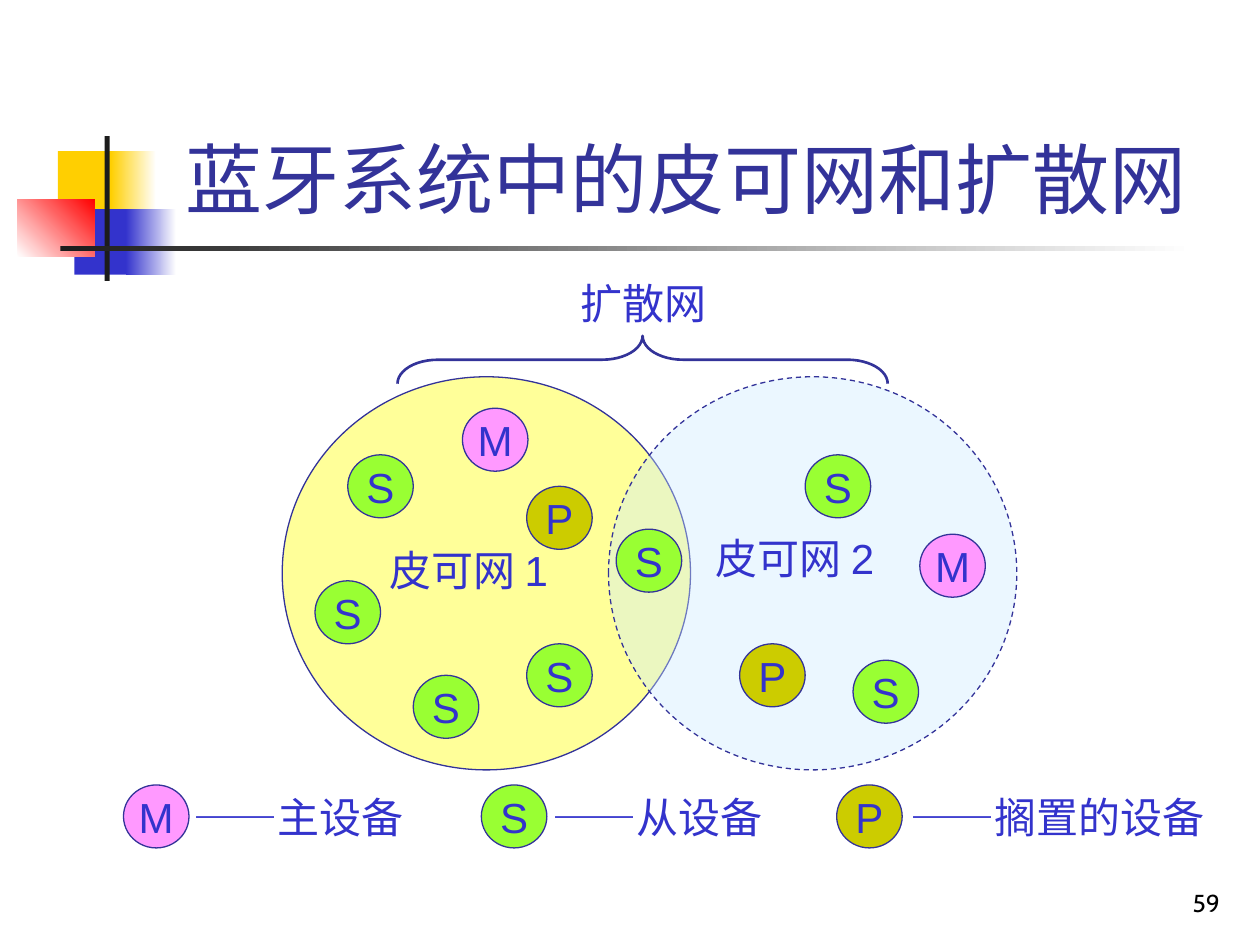
from lxml import etree
from pptx import Presentation
from pptx.dml.color import RGBColor
from pptx.enum import dml, shapes, text
from pptx.oxml.ns import qn
from pptx.util import Inches, Pt

NAVY = RGBColor(0x33, 0x33, 0x99)
BLUE = RGBColor(0x33, 0x33, 0xCC)
GOLD = RGBColor(0xFF, 0xCF, 0x01)
RED = RGBColor(0xFF, 0x00, 0x00)
WHITE = RGBColor(0xFF, 0xFF, 0xFF)
BLACK = RGBColor(0x00, 0x00, 0x00)
CHARCOAL = RGBColor(0x1C, 0x1C, 0x1C)
YELLOW = RGBColor(0xFF, 0xFF, 0x99)
PALE_BLUE = RGBColor(0xCC, 0xEC, 0xFF)
PINK = RGBColor(0xFF, 0x99, 0xFF)
GREEN = RGBColor(0x99, 0xFF, 0x33)
OLIVE = RGBColor(0xCC, 0xCC, 0x00)

TITLE = "蓝牙系统中的皮可网和扩散网 "
DEVICE_FILLS = {"M": PINK, "S": GREEN, "P": OLIVE}
DEVICE_SIZE = (0.52, 0.5)
LEGEND_TOP = 6.23

# box, colours (two make a gradient), gradient angle
ORNAMENTS = [
    ((0.46, 1.2, 0.48, 0.52), [GOLD], 0),
    ((0.88, 1.2, 0.36, 0.52), [GOLD, WHITE], 0),
    ((0.59, 1.66, 0.46, 0.52), [BLUE], 0),
    ((1, 1.66, 0.4, 0.52), [BLUE, WHITE], 0),
    ((0.14, 1.58, 0.61, 0.46), [WHITE, RED], 45),
    ((0.83, 1.08, 0.04, 1.15), [CHARCOAL], 0),
    ((0.48, 1.95, 9, 0.04), [CHARCOAL, WHITE], 0),
]
DEVICES = [
    ("M", 3.67, 3.24), ("M", 7.3, 4.24), ("S", 2.5, 4.61), ("S", 2.76, 3.61),
    ("P", 5.87, 5.11), ("S", 4.89, 4.2), ("S", 4.18, 5.11), ("S", 3.28, 5.36),
    ("S", 6.77, 5.24), ("S", 6.39, 3.61), ("P", 4.18, 3.86),
]
LABELS = [
    ("皮可网 2", (5.58, 4.18, 1.54, 0.5)),
    ("扩散网", (4.51, 2.15, 1.2, 0.5)),
    ("皮可网 1", (2.99, 4.27, 1.54, 0.5)),
]
# letter, circle left, meaning, text left, text width
LEGEND = [
    ("M", 0.98, "主设备", 1.44, 1.88),
    ("S", 3.82, "从设备", 4.29, 1.88),
    ("P", 6.64, "搁置的设备", 7.13, 2.55),
]


def add_shape(slide, kind, box, colours=(), angle=0, line=None, width=0.75):
    shape = slide.shapes.add_shape(kind, *map(Inches, box))
    shape.shadow.inherit = False
    if len(colours) == 2:
        shape.fill.gradient()
        shape.fill.gradient_angle = angle
        for stop, colour in zip(shape.fill.gradient_stops, colours):
            stop.color.rgb = colour
    elif colours:
        shape.fill.solid()
        shape.fill.fore_color.rgb = colours[0]
    else:
        shape.fill.background()
    if line is None:
        shape.line.fill.background()
    else:
        shape.line.color.rgb = line
        shape.line.width = Pt(width)
    return shape


def write(shape, runs, size=24, colour=BLUE, align=text.PP_ALIGN.LEFT,
          anchor=text.MSO_ANCHOR.TOP, wrap=False):
    """Fill the shape with one paragraph of (wording, font name) runs."""
    frame = shape.text_frame
    frame.word_wrap = wrap
    frame.vertical_anchor = anchor
    paragraph = frame.paragraphs[0]
    paragraph.alignment = align
    for wording, font_name in runs:
        run = paragraph.add_run()
        run.text = wording
        run.font.name = font_name
        run.font.size = Pt(size)
        run.font.color.rgb = colour


def add_text(slide, box, runs, **style):
    """Add a text box; one that does not wrap grows with its text."""
    text_box = slide.shapes.add_textbox(*map(Inches, box))
    write(text_box, runs, **style)
    if not text_box.text_frame.word_wrap:
        text_box.text_frame.auto_size = text.MSO_AUTO_SIZE.SHAPE_TO_FIT_TEXT


def add_device(slide, letter, left, top):
    circle = add_shape(slide, shapes.MSO_SHAPE.OVAL, (left, top, *DEVICE_SIZE),
                       [DEVICE_FILLS[letter]], line=NAVY)
    write(circle, [(letter, "Arial")], align=text.PP_ALIGN.CENTER,
          anchor=text.MSO_ANCHOR.MIDDLE)


def add_piconets(slide):
    oval = shapes.MSO_SHAPE.OVAL
    add_shape(slide, oval, (2.24, 2.99, 3.24, 3.12), [YELLOW], line=NAVY)
    second = add_shape(slide, oval, (4.83, 2.99, 3.24, 3.12), [PALE_BLUE], line=NAVY)
    second.line.dash_style = dml.MSO_LINE.DASH
    colour = second.fill._xPr.find(qn("a:solidFill"))[0]
    etree.SubElement(colour, qn("a:alpha"), val="39000")


def add_scatternet_brace(slide):
    brace = add_shape(slide, shapes.MSO_SHAPE.LEFT_BRACE, (4.91, 0.91, 0.38, 3.89),
                      line=NAVY, width=1.5)
    brace.rotation = 90
    brace.adjustments[0] = 0.84


def main():
    presentation = Presentation()
    presentation.slide_width = Inches(10)
    presentation.slide_height = Inches(7.5)
    slide = presentation.slides.add_slide(presentation.slide_layouts[6])

    for box, colours, angle in ORNAMENTS:
        add_shape(slide, shapes.MSO_SHAPE.RECTANGLE, box, colours, angle)
    add_text(slide, (1.26, 0.23, 8.52, 1.6), [(TITLE, "Arial")], size=44, colour=NAVY,
             align=text.PP_ALIGN.CENTER, anchor=text.MSO_ANCHOR.BOTTOM, wrap=True)

    add_piconets(slide)
    for device in DEVICES:
        add_device(slide, *device)
    for wording, box in LABELS:
        add_text(slide, box, [(wording, "Arial")])
    add_scatternet_brace(slide)

    for letter, circle_left, meaning, text_left, width in LEGEND:
        add_device(slide, letter, circle_left, LEGEND_TOP)
        add_text(slide, (text_left, LEGEND_TOP, width, 0.5),
                 [("——", "Arial"), (meaning, "Cabin")])

    add_text(slide, (7.7, 6.83, 2.08, 0.5), [("59", "Cabin")], size=14, colour=BLACK,
             align=text.PP_ALIGN.RIGHT, anchor=text.MSO_ANCHOR.BOTTOM, wrap=True)
    presentation.save("out.pptx")


if __name__ == "__main__":
    main()
